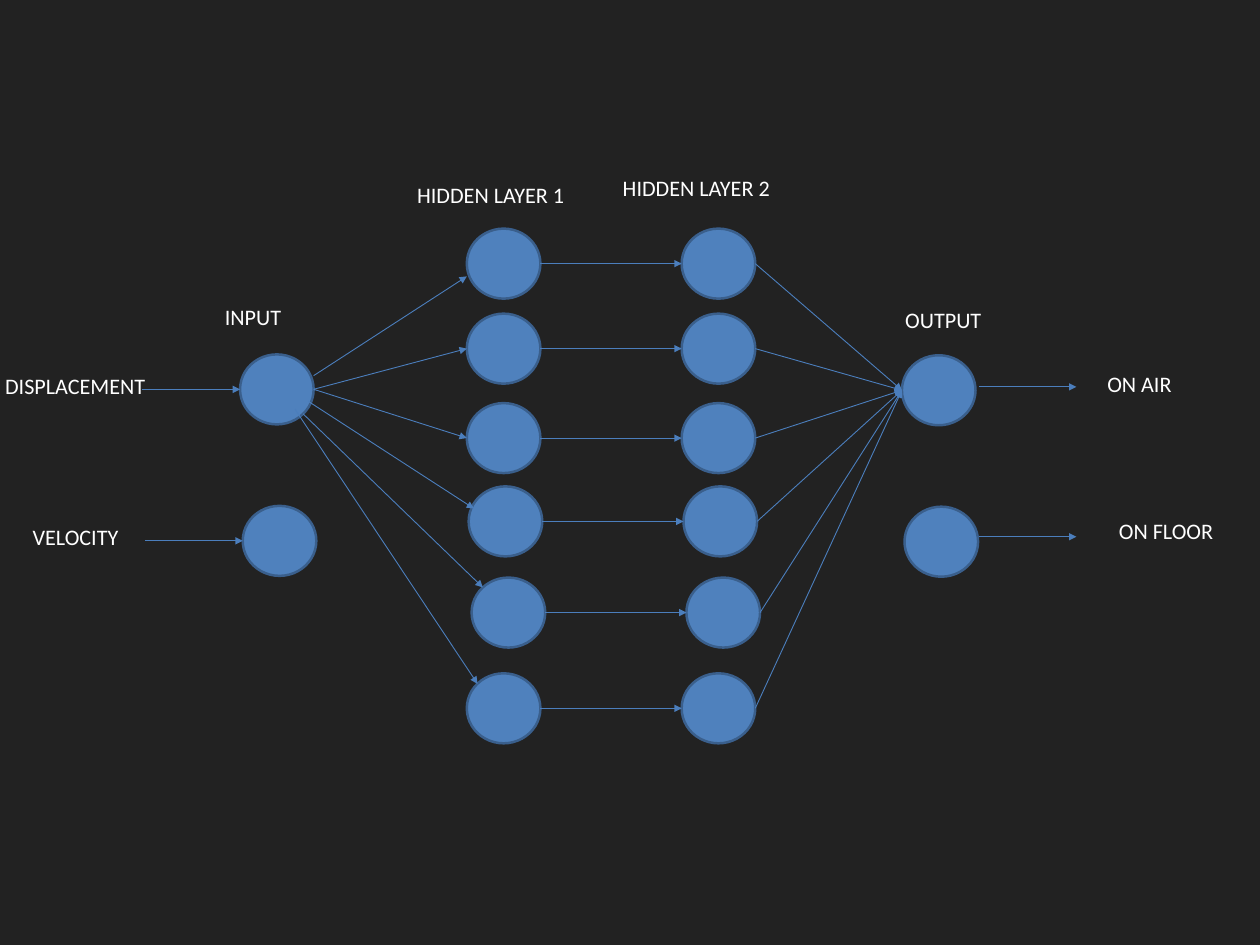
"""Build a slide of a neural network with two hidden layers."""
from lxml import etree
from pptx import Presentation
from pptx.dml.color import RGBColor
from pptx.enum.shapes import MSO_CONNECTOR, MSO_SHAPE
from pptx.enum.text import MSO_AUTO_SIZE
from pptx.oxml.ns import qn
from pptx.util import Pt

STRAIGHT, OVAL = MSO_CONNECTOR.STRAIGHT, MSO_SHAPE.OVAL
FIT_SHAPE = MSO_AUTO_SIZE.SHAPE_TO_FIT_TEXT

SLIDE_W, SLIDE_H = 1024, 768
NODE_W, NODE_H = 59.8, 56.9
LAYER_GAP = 174.6
LABEL_H = 29

BACKGROUND, NODE_FILL, NODE_LINE = "222222", "4F81BD", "3A5F8C"
ARROW, TEXT = "4B7EBC", "FFFFFF"

HIDDEN_1 = [(379.4, 185.8), (379.4, 254.9), (379.4, 327.6),
            (380.9, 395.3), (383.3, 469.4), (379.4, 547.2)]
INPUTS = [(195.1, 288), (197.3, 411.1)]
OUTPUTS = [(733, 288.7), (735.1, 411.8)]

INPUT_FAN = [((254.9, 305.3), (379.4, 224.6)),
             ((254.9, 316.4), (379.4, 283.3)),
             ((254.9, 316.4), (379.4, 356)),
             ((250.6, 326.2), (385.2, 413.3)),
             ((246.2, 336.2), (392.4, 477.4)),
             ((239.8, 332.6), (388.1, 555.8))]
INPUT_STARTS = [115.2, 118]
OUTPUT_ARROWS = [((795.6, y), (874.8, y)) for y in (314.4, 436.2)]

LABELS = [("INPUT", 175.7, 242.8, 60.5),
          ("OUTPUT", 728.6, 245.7, 77),
          ("HIDDEN LAYER 2", 499, 138.3, 135.4),
          ("HIDDEN LAYER 1", 331.9, 144, 135.4),
          ("DISPLACEMENT", -2.9, 298.8, 129.6),
          ("VELOCITY", 19.4, 421.9, 85),
          ("ON AIR", 892.8, 297.4, 67),
          ("ON FLOOR", 902.2, 416.6, 92.2)]


def color(hex_code):
    """Turn a hex string into a colour."""
    return RGBColor.from_string(hex_code)


def left_of(node):
    """Return the middle of a node's left side."""
    return node[0], node[1] + NODE_H / 2


def right_of(node):
    """Return the middle of a node's right side."""
    return node[0] + NODE_W, node[1] + NODE_H / 2


def add_node(slide, node):
    """Draw one neuron."""
    neuron = slide.shapes.add_shape(OVAL, Pt(node[0]), Pt(node[1]), Pt(NODE_W), Pt(NODE_H))
    neuron.shadow.inherit = False
    neuron.fill.solid()
    neuron.fill.fore_color.rgb = color(NODE_FILL)
    neuron.line.color.rgb = color(NODE_LINE)
    neuron.line.width = Pt(2)


def add_arrow(slide, start, end):
    """Draw an arrow between two points."""
    arrow = slide.shapes.add_connector(STRAIGHT, *(Pt(v) for v in (*start, *end)))
    arrow.line.color.rgb = color(ARROW)
    arrow.line.width = Pt(0.75)
    etree.SubElement(arrow.line._get_or_add_ln(), qn("a:tailEnd"), type="triangle")
    etree.SubElement(arrow._element.spPr, qn("a:effectLst"))


def add_label(slide, text, left, top, width):
    """Write one label on a single line."""
    frame = slide.shapes.add_textbox(Pt(left), Pt(top), Pt(width), Pt(LABEL_H)).text_frame
    frame.word_wrap = False
    frame.auto_size = FIT_SHAPE
    paragraph = frame.paragraphs[0]
    paragraph.text = text
    paragraph.font.name = "Calibri"
    paragraph.font.size = Pt(18)
    paragraph.font.color.rgb = color(TEXT)


presentation = Presentation()
presentation.slide_width, presentation.slide_height = Pt(SLIDE_W), Pt(SLIDE_H)
slide = presentation.slides.add_slide(presentation.slide_layouts[6])
slide.background.fill.solid()
slide.background.fill.fore_color.rgb = color(BACKGROUND)

hidden_2 = [(x + LAYER_GAP, y) for x, y in HIDDEN_1]
for node in HIDDEN_1 + INPUTS + hidden_2 + OUTPUTS:
    add_node(slide, node)

between_layers = [(right_of(a), left_of(b)) for a, b in zip(HIDDEN_1, hidden_2)]
output_fan = [(right_of(node), left_of(OUTPUTS[0])) for node in hidden_2]
input_arrows = [((x, left_of(node)[1]), left_of(node))
                for x, node in zip(INPUT_STARTS, INPUTS)]
for start, end in INPUT_FAN + between_layers + output_fan + input_arrows + OUTPUT_ARROWS:
    add_arrow(slide, start, end)

for label in LABELS:
    add_label(slide, *label)

presentation.save("out.pptx")
